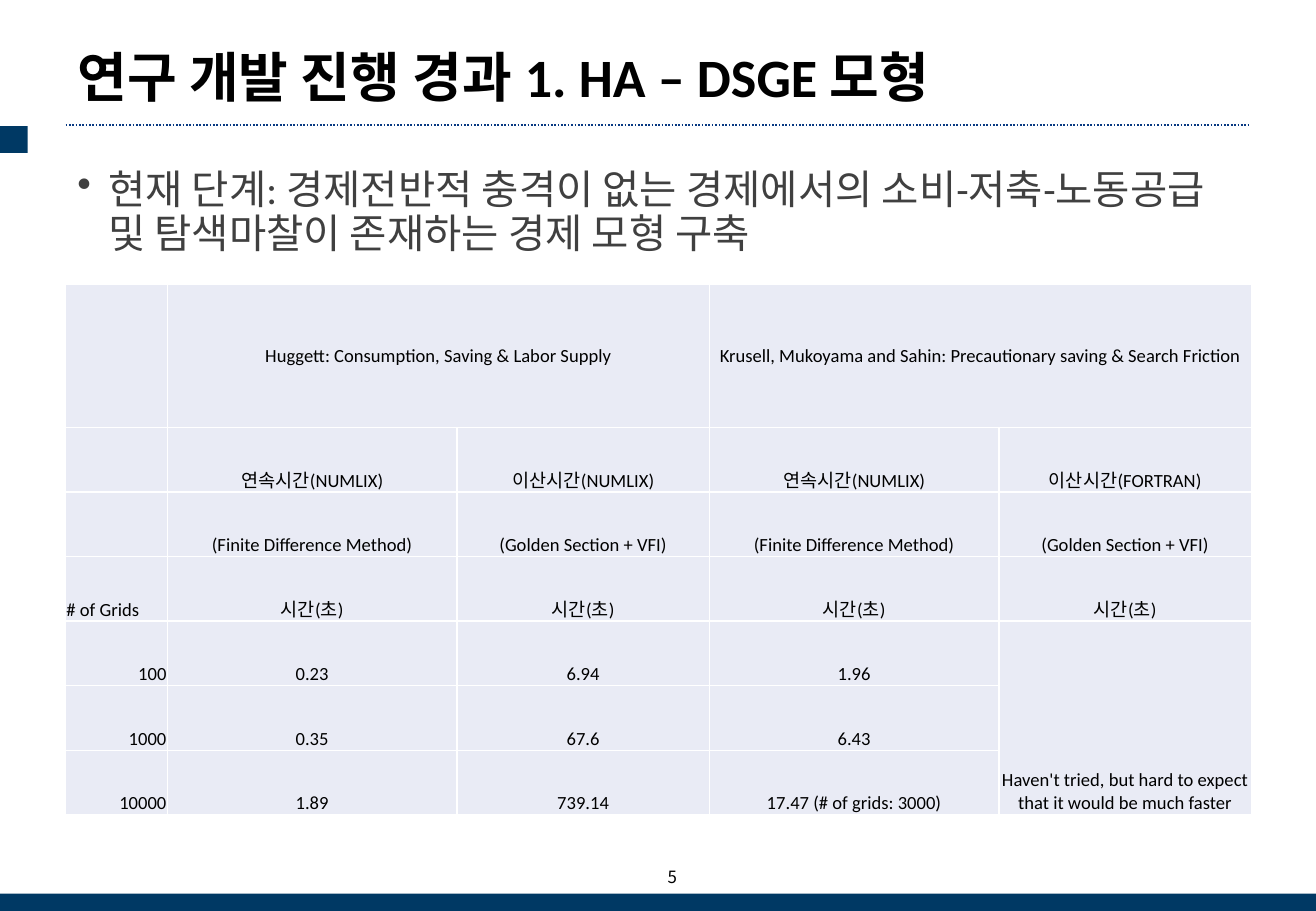
from lxml import etree
from pptx import Presentation
from pptx.dml.color import RGBColor
from pptx.enum import dml, shapes, text
from pptx.oxml.ns import qn
from pptx.util import Cm, Pt

NAVY = RGBColor(0x00, 0x39, 0x64)
RULE_BLUE = RGBColor(0x08, 0x39, 0x82)
BLACK = RGBColor(0, 0, 0)
GREY = RGBColor(0x40, 0x40, 0x40)
WHITE = RGBColor(0xFF, 0xFF, 0xFF)
CELL_FILL = RGBColor(0xE9, 0xEB, 0xF5)

LEFT, WIDTH = 1.37, 24.77
COLUMNS = [2.13, 6.05, 5.28, 6.05, 5.28]
ROWS = [3.0] + [1.35] * 6

CONTINUOUS, FDM = "연속시간(NUMLIX)", "(Finite Difference Method)"
GOLDEN, SECONDS = "(Golden Section + VFI)", "시간(초)"
RESULTS = [
    ["", "Huggett: Consumption, Saving & Labor Supply", "",
     "Krusell, Mukoyama and Sahin: Precautionary saving & Search Friction", ""],
    ["", CONTINUOUS, "이산시간(NUMLIX)", CONTINUOUS, "이산시간(FORTRAN)"],
    ["", FDM, GOLDEN, FDM, GOLDEN],
    ["# of Grids"] + [SECONDS] * 4,
    ["100", "0.23", "6.94", "1.96",
     "Haven't tried, but hard to expect that it would be much faster"],
    ["1000", "0.35", "67.6", "6.43", ""],
    ["10000", "1.89", "739.14", "17.47 (# of grids: 3000)", ""],
]
MERGES = [((0, 1), (0, 2)), ((0, 3), (0, 4)), ((4, 4), (6, 4))]


def write(p, content, size, color=BLACK, font="Calibri", bold=False,
          align=text.PP_ALIGN.LEFT):
    """Fill a paragraph with text in one style."""
    p.text = content
    p.alignment = align
    p.font.size = Pt(size)
    p.font.bold = bold
    p.font.color.rgb = color
    p.font.name = font
    props = p._p.pPr.find(qn("a:defRPr"))
    etree.SubElement(props, qn("a:ea")).set("typeface", font)


def add_text(slide, box, content, size, anchor=text.MSO_ANCHOR.MIDDLE, **style):
    """Add a wrapped text box and return its paragraph."""
    tf = slide.shapes.add_textbox(*map(Cm, box)).text_frame
    tf.word_wrap = True
    tf.vertical_anchor = anchor
    p = tf.paragraphs[0]
    write(p, content, size, **style)
    return p


def add_bullet(p, indent):
    """Give a paragraph a round bullet with a hanging indent."""
    pPr = p._p.get_or_add_pPr()
    pPr.set("marL", str(indent))
    pPr.set("indent", str(-indent))
    bullet = etree.Element(qn("a:buChar"), char="•")
    pPr.find(qn("a:defRPr")).addprevious(bullet)


def add_bar(slide, *box):
    """Add a plain navy rectangle."""
    sp = slide.shapes.add_shape(shapes.MSO_SHAPE.RECTANGLE, *map(Cm, box))
    sp.shadow.inherit = False
    sp.fill.solid()
    sp.fill.fore_color.rgb = NAVY
    sp.line.fill.background()


def add_rule(slide, x1, x2, y):
    """Add a dotted horizontal line."""
    line = slide.shapes.add_connector(
        shapes.MSO_CONNECTOR.STRAIGHT, Cm(x1), Cm(y), Cm(x2), Cm(y))
    line.line.color.rgb = RULE_BLUE
    line.line.width = Pt(1)
    line.line.dash_style = dml.MSO_LINE.ROUND_DOT
    etree.SubElement(line._element.spPr, qn("a:effectLst"))


def style_cell(cell):
    """Set the margins, white borders and fill of a cell."""
    cell.margin_left = cell.margin_right = cell.margin_top = Cm(0.02)
    cell.margin_bottom = 0
    tcPr = cell._tc.get_or_add_tcPr()
    for side in ("lnL", "lnR", "lnT", "lnB"):
        ln = etree.SubElement(tcPr, qn(f"a:{side}"), w=str(Pt(1)))
        fill = etree.SubElement(ln, qn("a:solidFill"))
        etree.SubElement(fill, qn("a:srgbClr"), val=str(WHITE))
    cell.fill.solid()
    cell.fill.fore_color.rgb = CELL_FILL


def cell_align(row, col):
    """Return the alignment of a table cell."""
    if col:
        return text.PP_ALIGN.CENTER
    return text.PP_ALIGN.RIGHT if row > 3 else text.PP_ALIGN.LEFT


def add_results(slide):
    """Add the table of computing times."""
    table = slide.shapes.add_table(
        len(ROWS), len(COLUMNS), Cm(LEFT), Cm(5.94),
        Cm(sum(COLUMNS)), Cm(sum(ROWS))).table
    table.first_row = table.horz_banding = False
    for column, width in zip(table.columns, COLUMNS):
        column.width = Cm(width)
    for row, height in zip(table.rows, ROWS):
        row.height = Cm(height)
    for i, values in enumerate(RESULTS):
        for j, value in enumerate(values):
            cell = table.cell(i, j)
            style_cell(cell)
            cell.vertical_anchor = text.MSO_ANCHOR.BOTTOM if i else text.MSO_ANCHOR.MIDDLE
            write(cell.text_frame.paragraphs[0], value, 11, align=cell_align(i, j))
    for first, last in MERGES:
        table.cell(*first).merge(table.cell(*last))


def main():
    """Build the slide and save it."""
    prs = Presentation()
    prs.slide_width, prs.slide_height = Cm(27.51), Cm(19.05)
    slide = prs.slides.add_slide(prs.slide_layouts[6])

    add_rule(slide, LEFT, 26.09, 2.62)
    add_text(slide, (13.13, 18.16, 1.27, 0.36), "5", 10,
             font="Noto Sans CJK KR", align=text.PP_ALIGN.RIGHT)
    add_bar(slide, 0, 18.69, 27.51, 0.36)
    add_bar(slide, 0, 2.64, 0.58, 0.56)

    p = add_text(slide, (LEFT, 3.43, WIDTH, 2.4),
                 "현재 단계: 경제전반적 충격이 없는 경제에서의 소비-저축-노동공급 및 "
                 "탐색마찰이 존재하는 경제 모형 구축",
                 24, anchor=text.MSO_ANCHOR.TOP, color=GREY)
    p.line_spacing = 0.9
    p.space_before = Pt(10)
    add_bullet(p, Cm(0.64))

    title = add_text(slide, (LEFT, 0.69, WIDTH, 1.96),
                     "연구 개발 진행 경과 1. HA – DSGE 모형", 32, bold=True)
    title.line_spacing = 0.9
    add_results(slide)
    prs.save("out.pptx")


if __name__ == "__main__":
    main()
